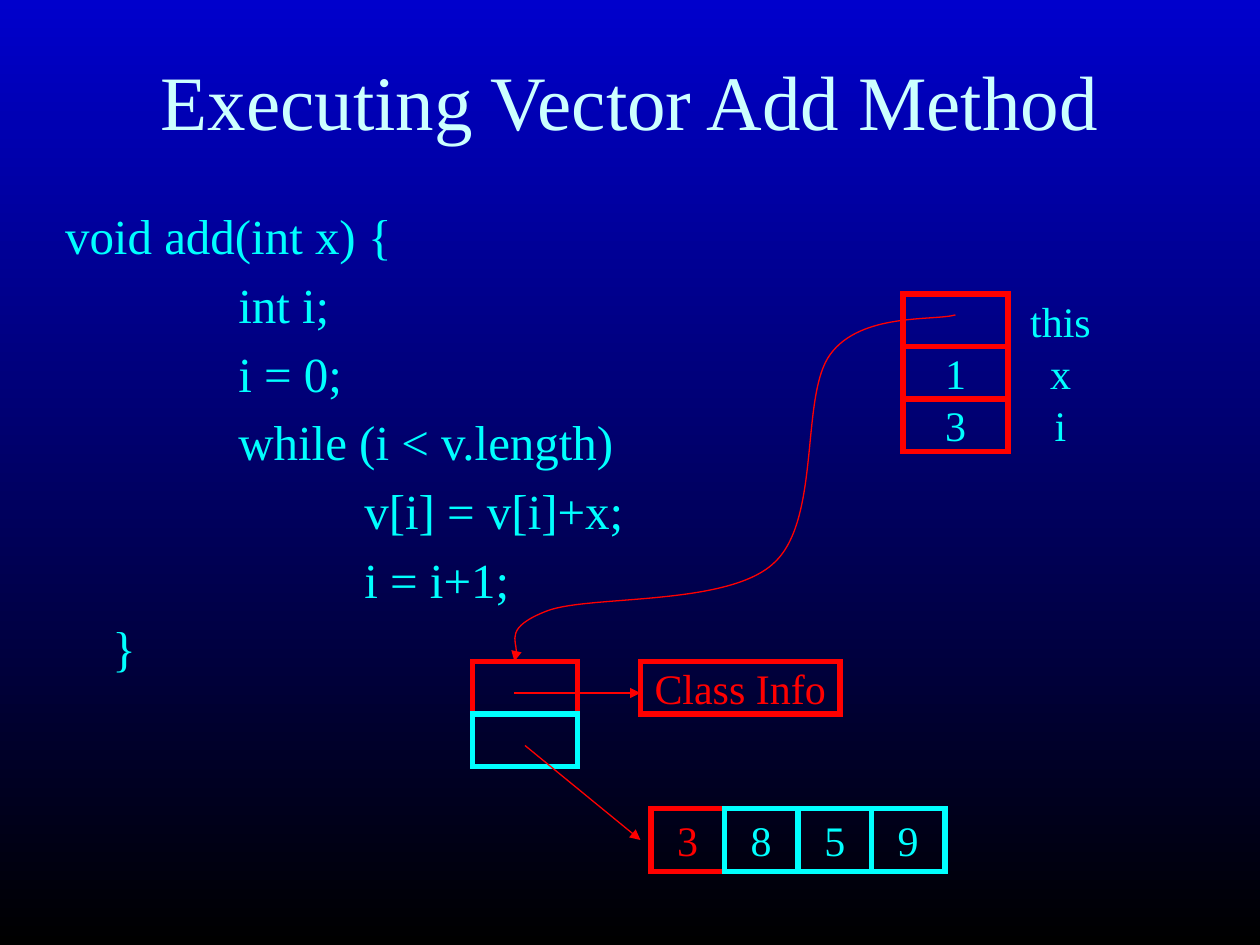
from lxml.etree import SubElement
from pptx import Presentation
from pptx.dml.color import RGBColor
from pptx.enum.shapes import MSO_CONNECTOR, MSO_SHAPE
from pptx.enum.text import MSO_ANCHOR, MSO_AUTO_SIZE, PP_ALIGN
from pptx.oxml.ns import qn
from pptx.util import Pt

COLORS = {"top": "0000CC", "bottom": "000000", "title": "CCFFFF",
          "cyan": "00FFFF", "red": "FF0000"}
FONT = "Times New Roman"

TITLE = "Executing Vector Add Method"
CODE = [
    "void add(int x) {",
    "\t\tint i;",
    "\t\ti = 0;",
    "\t\twhile (i < v.length)",
    "\t\t\tv[i] = v[i]+x;",
    "\t\t\ti = i+1;",
    "\t}",
]
# Name and value of each slot in the stack frame
FRAME = [("this", ""), ("x", "1"), ("i", "3")]
VECTOR_FIELDS = ["red", "cyan"]
# The array's length, then its elements
ARRAY = [("3", "red"), ("8", "cyan"), ("5", "cyan"), ("9", "cyan")]
CLASS_INFO = "Class Info"

CELL_W, CELL_H = 60, 30
ITEM_W, ITEM_H = 42, 36
FRAME_X, FRAME_Y = 516, 168
VECTOR_X, VECTOR_Y = 270, 378
ARRAY_X, ARRAY_Y = 372, 462
CLASS_BOX = (366, 378, 114, CELL_H)
CODE_INDENT, CODE_TAB = 27, 72

ARROWS = [((294, 396), (366, 396)), ((300, 426), (366, 480))]
# Start, then two control points and an end for each bend
THIS_CURVE = [
    (546, 180),
    (534, 183.5), (492, 178.5), (474.5, 202.5),
    (457, 226), (469.5, 297.5), (442, 322),
    (415.5, 346.5), (337.5, 340), (313, 349),
    (288, 358.5), (298, 372), (294, 378),
]


def rgb(color):
    return RGBColor.from_string(COLORS[color])


def format_text(frame, size, color, align):
    for paragraph in frame.paragraphs:
        paragraph.alignment = align
        for run in paragraph.runs:
            run.font.name = FONT
            run.font.size = Pt(size)
            run.font.color.rgb = rgb(color)


def place(shape, left, top, width, height):
    shape.left, shape.top = Pt(left), Pt(top)
    shape.width, shape.height = Pt(width), Pt(height)


def label(shape, text, color):
    frame = shape.text_frame
    frame.text = text
    frame.word_wrap = False
    frame.vertical_anchor = MSO_ANCHOR.MIDDLE
    format_text(frame, 24, color, PP_ALIGN.CENTER)


def style_line(shape, color, width, detail, **attributes):
    """Set the line, and add one more element to it, such as a join or an arrowhead."""
    shape.line.color.rgb = rgb(color)
    shape.line.width = Pt(width)
    SubElement(shape.line._get_or_add_ln(), qn(detail), **attributes)


def add_box(shapes, left, top, width, height, line, text="", color="cyan"):
    box = shapes.add_shape(MSO_SHAPE.RECTANGLE, Pt(left), Pt(top), Pt(width), Pt(height))
    box.shadow.inherit = False
    box.fill.background()
    style_line(box, line, 3, "a:miter", lim="800000")
    if text:
        label(box, text, color)


def style_arrow(arrow):
    style_line(arrow, "red", 0.75, "a:tailEnd", type="triangle")


def add_arrow(shapes, start, end):
    arrow = shapes.add_connector(MSO_CONNECTOR.STRAIGHT, *map(Pt, start + end))
    style_arrow(arrow)
    SubElement(arrow._element.spPr, qn("a:effectLst"))


def add_curved_arrow(shapes, points):
    """Build an open outline and join each three points into a Bezier bend."""
    start, *rest = [(Pt(x), Pt(y)) for x, y in points]
    builder = shapes.build_freeform(*start)
    builder.add_line_segments(rest, close=False)
    curve = builder.convert_to_shape()
    segments = list(curve._element.iter(qn("a:lnTo")))
    for first in range(0, len(segments), 3):
        outline = segments[first].getparent()
        bend = SubElement(outline, qn("a:cubicBezTo"))
        for segment in segments[first:first + 3]:
            bend.append(segment[0])
            outline.remove(segment)
    curve.shadow.inherit = False
    curve.fill.background()
    style_arrow(curve)


def fill_background(slide):
    fill = slide.background.fill
    fill.gradient()
    fill.gradient_angle = 270
    for stop, color, position in zip(fill.gradient_stops, ("top", "bottom"), (0, 1)):
        stop.color.rgb = rgb(color)
        stop.position = position


def add_title_and_code(slide):
    title, code = slide.placeholders
    place(title, 30, 12, 660, 90)
    title.text_frame.text = TITLE
    title.text_frame.vertical_anchor = MSO_ANCHOR.MIDDLE
    format_text(title.text_frame, 44, "title", PP_ALIGN.CENTER)

    place(code, 30, 114, 660, 384)
    code.text_frame.text = "\n".join(CODE)
    for frame in (title.text_frame, code.text_frame):
        frame.auto_size = MSO_AUTO_SIZE.NONE
    format_text(code.text_frame, 28, "cyan", PP_ALIGN.LEFT)
    for paragraph in code.text_frame.paragraphs:
        properties = paragraph._p.get_or_add_pPr()
        properties.set("marL", str(Pt(CODE_INDENT)))
        properties.set("indent", str(Pt(-CODE_INDENT)))
        properties.set("defTabSz", str(Pt(CODE_TAB)))
        SubElement(properties, qn("a:buNone"))
        # Stops are also listed because some viewers ignore the default tab size
        stops = SubElement(properties, qn("a:tabLst"))
        for level in range(3):
            SubElement(stops, qn("a:tab"), algn="l",
                       pos=str(Pt(CODE_INDENT + level * CODE_TAB)))


def add_memory(shapes):
    for row, (name, value) in enumerate(FRAME):
        top = FRAME_Y + row * CELL_H
        add_box(shapes, FRAME_X, top, CELL_W, CELL_H, "red", value)
        name_box = shapes.add_textbox(Pt(FRAME_X + CELL_W), Pt(top), Pt(CELL_W), Pt(CELL_H))
        label(name_box, name, "cyan")
    for row, color in enumerate(VECTOR_FIELDS):
        add_box(shapes, VECTOR_X, VECTOR_Y + row * CELL_H, CELL_W, CELL_H, color)
    for column, (value, color) in enumerate(ARRAY):
        add_box(shapes, ARRAY_X + column * ITEM_W, ARRAY_Y, ITEM_W, ITEM_H,
                color, value, color)
    add_box(shapes, *CLASS_BOX, "red", CLASS_INFO, "red")


def main():
    deck = Presentation()
    deck.slide_width, deck.slide_height = Pt(720), Pt(540)
    slide = deck.slides.add_slide(deck.slide_layouts[1])
    fill_background(slide)
    add_title_and_code(slide)
    add_memory(slide.shapes)
    for start, end in ARROWS:
        add_arrow(slide.shapes, start, end)
    add_curved_arrow(slide.shapes, THIS_CURVE)
    deck.save("out.pptx")


if __name__ == "__main__":
    main()
